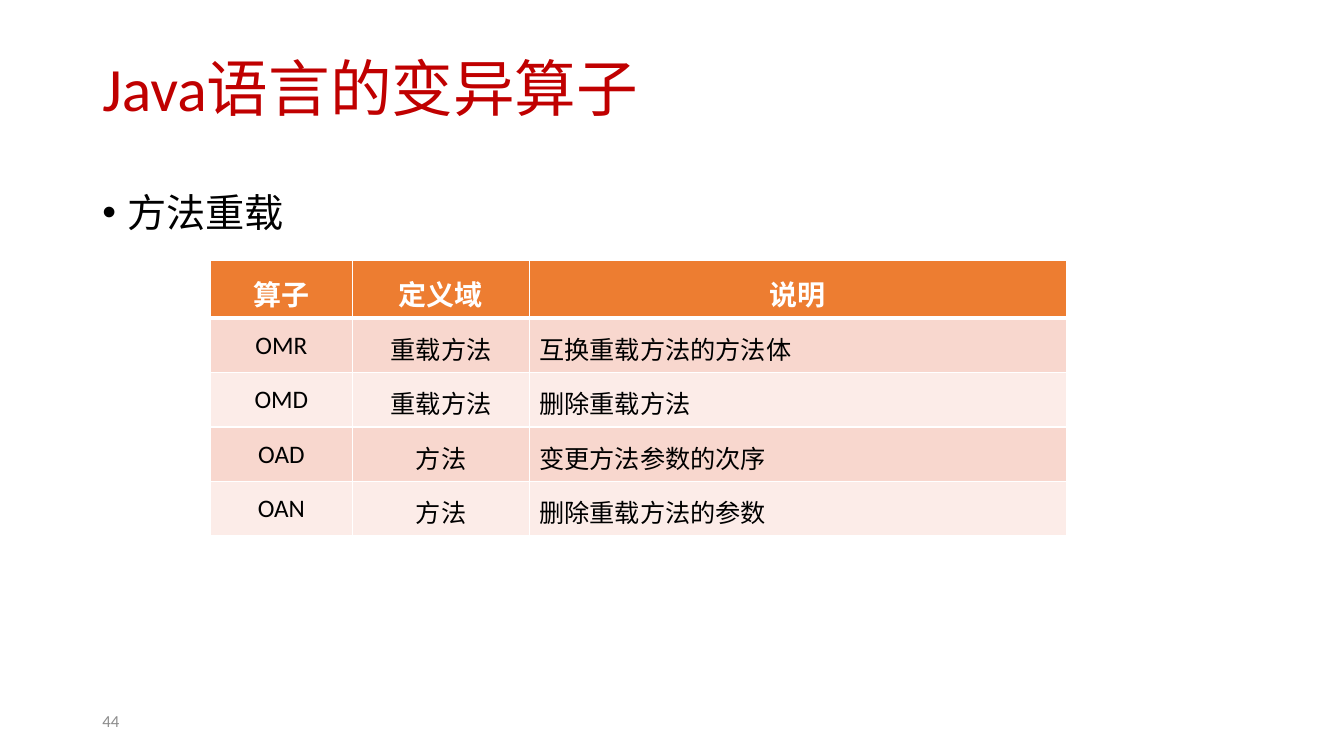
from lxml.etree import SubElement
from pptx import Presentation
from pptx.dml.color import RGBColor
from pptx.enum.text import MSO_ANCHOR as Anchor, PP_ALIGN as Align
from pptx.oxml.ns import qn
from pptx.util import Inches, Pt

FONT = "Calibri"
COLORS = {
    "title": "C00000",
    "text": "000000",
    "number": "8C8C8C",
    "white": "FFFFFF",
    "header": "ED7D31",
    "odd": "F8D7CE",
    "even": "FCECE8",
}
# The slide is a grid of 160 columns by 90 rows.
COLUMNS, ROWS = 160, 90
UNIT = Inches(1 / 12)
MARGIN, CONTENT_WIDTH = 11, 138

OPERATORS = [
    ("算子", "定义域", "说明"),
    ("OMR", "重载方法", "互换重载方法的方法体"),
    ("OMD", "重载方法", "删除重载方法"),
    ("OAD", "方法", "变更方法参数的次序"),
    ("OAN", "方法", "删除重载方法的参数"),
]
OPERATOR_COLUMNS = (17, 21, 64)
OPERATOR_ROW = 4.92


def grid(*steps):
    return [round(step * UNIT) for step in steps]


def color(name):
    return RGBColor.from_string(COLORS[name])


def style(paragraph, size, color_name, bold=False):
    font = paragraph.font
    font.name, font.size, font.bold = FONT, Pt(size), bold
    font.color.rgb = color(color_name)


def add_text(slide, text, top, width, height, size, color_name,
             anchor=Anchor.MIDDLE, line_spacing=None, bullet=False):
    box = slide.shapes.add_textbox(*grid(MARGIN, top, width, height))
    frame = box.text_frame
    frame.word_wrap = True
    frame.vertical_anchor = anchor
    paragraph = frame.paragraphs[0]
    paragraph.text = text
    if line_spacing:
        paragraph.line_spacing = line_spacing
    if bullet:
        add_bullet(paragraph)
    style(paragraph, size, color_name)


def add_bullet(paragraph):
    properties = paragraph._p.get_or_add_pPr()
    properties.set("marL", str(Inches(0.25)))
    properties.set("indent", str(-Inches(0.25)))
    SubElement(properties, qn("a:buFont"), typeface="Arial")
    SubElement(properties, qn("a:buChar"), char="•")


def add_borders(cell, top, bottom):
    """Draw white cell borders; call before the fill to keep the XML order."""
    properties = cell._tc.get_or_add_tcPr()
    for side, points in (("L", 1), ("R", 1), ("T", top), ("B", bottom)):
        line = SubElement(properties, qn(f"a:ln{side}"), w=str(Pt(points)))
        fill = SubElement(line, qn("a:solidFill"))
        SubElement(fill, qn("a:srgbClr"), val=COLORS["white"])


def fill_cell(cell, text, row, column):
    header = row == 0
    add_borders(cell, top=3 if row == 1 else 1, bottom=3 if header else 1)
    cell.fill.solid()
    cell.fill.fore_color.rgb = color(
        "header" if header else "odd" if row % 2 else "even")
    cell.margin_left = cell.margin_right = Inches(0.1)
    cell.margin_top = cell.margin_bottom = Inches(0.12)
    paragraph = cell.text_frame.paragraphs[0]
    paragraph.text = text
    centred = header or column < 2
    paragraph.alignment = Align.CENTER if centred else Align.LEFT
    style(paragraph, 20 if header else 18,
          "white" if header else "text", bold=header)


def add_operator_table(slide, left, top):
    size = sum(OPERATOR_COLUMNS), OPERATOR_ROW * len(OPERATORS)
    table = slide.shapes.add_table(
        len(OPERATORS), len(OPERATOR_COLUMNS), *grid(left, top, *size)).table
    for column, width in zip(table.columns, grid(*OPERATOR_COLUMNS)):
        column.width = width
    for row, texts in enumerate(OPERATORS):
        for column, text in enumerate(texts):
            fill_cell(table.cell(row, column), text, row, column)


def main():
    deck = Presentation()
    deck.slide_width, deck.slide_height = grid(COLUMNS, ROWS)
    slide = deck.slides.add_slide(deck.slide_layouts[6])
    add_text(slide, "Java语言的变异算子", 4.8, CONTENT_WIDTH, 12.24, 44, "title",
             line_spacing=0.9)
    add_text(slide, "方法重载", 20.16, CONTENT_WIDTH, 60.84, 28, "text",
             anchor=Anchor.TOP, line_spacing=1.3, bullet=True)
    add_text(slide, "44", 83.4, 36, 4.8, 12, "number")
    add_operator_table(slide, 25, 31)
    deck.save("out.pptx")


if __name__ == "__main__":
    main()
